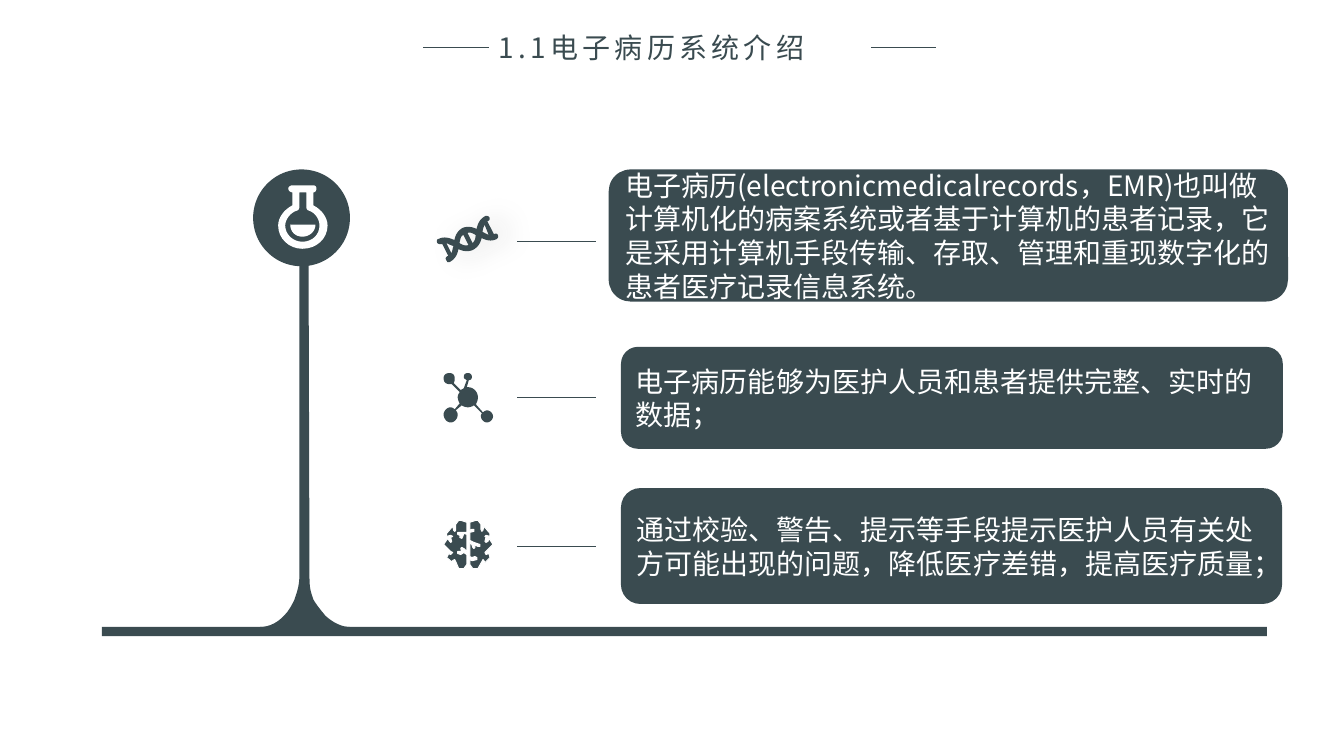
from lxml.etree import SubElement as Sub
from pptx import Presentation as Deck
from pptx.dml.color import RGBColor as Rgb
from pptx.enum.shapes import MSO_CONNECTOR as Link, MSO_SHAPE as Kind
from pptx.enum.text import MSO_ANCHOR as Anchor, MSO_AUTO_SIZE as Fit, PP_ALIGN as Align
from pptx.oxml.ns import qn
from pptx.util import Cm, Pt

SLATE = Rgb(0x3A, 0x4B, 0x50)
WHITE = Rgb(0xFF, 0xFF, 0xFF)
FONT = "Noto Sans CJK SC"
UNIT = 0.0254  # cm per step of the outline grids

# Outlines: a pair is a straight step, six numbers are a curve
FLASK = [
    [(12, 39), (37, 39), (37, 46, 31, 51, 24, 51), (17, 51, 12, 46, 12, 39)],
    [(21, 7), (21, 22), (21, 23, 20, 25, 19, 25), (12, 27, 7, 34, 7, 40),
     (7, 49, 15, 56, 24, 56), (34, 56, 41, 49, 41, 40), (41, 34, 37, 27, 30, 25),
     (29, 25, 28, 23, 28, 22), (28, 7)],
    [(14, 0), (35, 0), (37, 0, 38, 2, 38, 3), (38, 5, 37, 7, 35, 7), (35, 20),
     (43, 24, 49, 32, 49, 40), (49, 53, 38, 63, 24, 63), (11, 63, 0, 53, 0, 40),
     (0, 32, 6, 24, 14, 20), (14, 7), (12, 7, 10, 5, 10, 3), (10, 2, 12, 0, 14, 0)],
]
STEM = [
    [(49, 0), (50, 339), (50, 346, 50, 352, 52, 358), (54, 364),
     (57, 369, 61, 374, 66, 380), (74, 387, 82, 391, 91, 391), (0, 391),
     (11, 391, 20, 386, 28, 376), (31, 372, 33, 368, 35, 364), (37, 358),
     (39, 352, 40, 346, 40, 339), (40, 0)],
]
HELIX = [
    [(60, 19), (60, 18, 58, 17, 57, 18), (56, 18), (50, 6), (50, 5),
     (52, 5, 52, 3, 52, 2), (51, 0, 49, 0, 48, 0), (42, 3, 40, 8, 39, 13),
     (35, 11, 30, 10, 25, 12), (20, 15, 18, 19, 17, 24), (12, 22, 7, 20, 1, 23),
     (0, 23, -1, 25, 0, 27), (0, 27, 1, 28, 2, 28), (5, 28), (11, 40), (10, 40),
     (8, 41, 8, 43, 9, 44), (10, 46), (12, 46), (18, 43, 20, 38, 21, 33),
     (25, 35, 30, 36, 35, 34), (41, 31, 43, 26, 44, 22), (48, 24, 53, 26, 59, 23),
     (60, 22, 61, 21, 60, 19)],
    [(38, 19), (38, 23, 37, 25, 35, 27), (30, 17), (32, 16, 35, 17, 38, 19)],
    [(9, 27), (11, 28, 13, 29, 16, 30), (15, 33, 15, 35, 14, 37)],
    [(22, 27), (23, 23, 23, 20, 26, 19), (31, 29), (28, 30, 25, 29, 22, 27)],
    [(45, 16), (45, 13, 46, 11, 47, 9), (51, 19), (49, 18, 47, 17, 45, 16)],
]
ATOMS = [
    [(43, 37), (42, 37, 40, 38, 39, 39), (32, 31), (33, 29, 34, 27, 34, 24),
     (34, 19, 30, 14, 24, 14), (23, 14), (25, 7), (27, 7, 28, 6, 28, 4),
     (28, 1, 26, 0, 24, 0), (22, 0, 20, 1, 20, 4), (20, 5, 21, 6, 23, 7), (20, 15),
     (19, 16, 18, 16, 17, 17), (10, 10), (11, 8, 11, 7, 11, 5), (11, 2, 9, 0, 6, 0),
     (2, 0, 0, 2, 0, 5), (0, 9, 2, 11, 6, 11), (8, 11), (16, 19),
     (15, 20, 14, 22, 14, 24), (14, 26, 15, 29, 16, 30), (11, 36),
     (10, 35, 8, 34, 7, 34), (3, 34, 0, 38, 0, 41), (0, 45, 3, 49, 7, 49),
     (11, 49, 14, 45, 14, 41), (14, 40, 13, 38, 12, 37), (18, 32),
     (19, 33, 22, 34, 24, 34), (26, 34, 29, 33, 30, 32), (38, 40),
     (37, 41, 37, 42, 37, 43), (37, 46, 40, 49, 43, 49), (46, 49, 49, 46, 49, 43),
     (49, 40, 46, 37, 43, 37)],
]
BRAIN = [
    [(17, 0), (23, 2), (23, 12), (14, 12), (14, 14), (16, 15), (17, 14), (16, 17),
     (18, 18), (19, 16), (20, 13), (23, 14), (23, 31), (20, 28), (18, 27), (17, 28),
     (18, 31), (14, 31), (14, 33), (17, 34), (20, 32), (23, 34), (23, 44), (20, 48),
     (15, 48), (12, 41), (11, 39), (9, 40), (9, 42), (3, 37), (5, 33), (7, 34),
     (9, 32), (7, 31), (0, 24), (4, 18), (6, 21), (7, 22), (8, 21), (7, 17), (9, 16),
     (7, 15), (3, 16), (3, 13), (9, 6), (10, 10), (11, 11), (12, 10), (12, 4), (15, 0)],
    [(32, 0), (34, 0), (37, 4), (37, 9), (38, 11), (39, 10), (40, 6), (46, 13),
     (46, 16), (42, 15), (41, 16), (42, 17), (41, 21), (42, 22), (44, 21), (45, 18),
     (49, 24), (42, 31), (41, 32), (42, 34), (45, 33), (46, 37), (41, 42), (40, 40),
     (39, 39), (38, 41), (34, 48), (29, 48), (26, 44), (26, 39), (28, 40), (29, 40),
     (33, 39), (33, 37), (31, 36), (28, 37), (26, 36), (26, 22), (28, 24), (29, 27),
     (30, 28), (31, 27), (31, 25), (32, 25), (34, 26), (36, 26), (36, 24), (30, 22),
     (26, 20), (26, 12), (30, 11), (30, 9), (28, 9), (26, 10), (26, 2)],
]

# Each row: icon outline, icon place, line height, text box, text
ROWS = [
    (HELIX, (11.02, 5.44), 6.07, (15.34, 4.27, 17.12, 3.33),
     "电子病历(electronicmedicalrecords，EMR)也叫做计算机化的病案系统或者基于计算机的患者记录，"
     "它是采用计算机手段传输、存取、管理和重现数字化的患者医疗记录信息系统。"),
    (ATOMS, (11.18, 9.4), 10.01, (15.65, 8.74, 16.68, 2.57),
     "电子病历能够为医护人员和患者提供完整、实时的数据；"),
    (BRAIN, (11.18, 13.11), 13.77, (15.65, 12.3, 16.66, 2.92),
     "通过校验、警告、提示等手段提示医护人员有关处方可能出现的问题，降低医疗差错，提高医疗质量；"),
]


def paint(shape, tint):
    shape.shadow.inherit = False
    shape.fill.solid()
    shape.fill.fore_color.rgb = tint
    shape.line.fill.background()
    return shape


def block(slide, kind, box, tint=SLATE):
    return paint(slide.shapes.add_shape(kind, *map(Cm, box)), tint)


def rule(slide, x, y, wide):
    line = slide.shapes.add_connector(Link.STRAIGHT, Cm(x), Cm(y), Cm(x + wide), Cm(y))
    line.line.color.rgb = SLATE
    line.line.width = Pt(0.5)
    Sub(line._element.spPr, qn("a:effectLst"))


def trace(ring, count=8):
    """Turn the curves of one ring into short straight steps."""
    dots = [ring[0]]
    for step in ring[1:]:
        if len(step) == 2:
            dots.append(step)
            continue
        a, b, c, d = dots[-1], step[:2], step[2:4], step[4:]
        for i in range(1, count + 1):
            t = i / count
            u = 1 - t
            dots.append(tuple(u**3 * p + 3 * u * u * t * q + 3 * u * t * t * r + t**3 * s
                              for p, q, r, s in zip(a, b, c, d)))
    return dots


def sketch(slide, rings, x, y, tint=SLATE):
    paths = [[(Cm(x + p * UNIT), Cm(y + q * UNIT)) for p, q in trace(ring)] for ring in rings]
    pen = slide.shapes.build_freeform(*paths[0][0])
    for i, dots in enumerate(paths):
        if i:
            pen.move_to(*dots[0])
        pen.add_line_segments(dots[1:], close=True)
    return paint(pen.convert_to_shape(), tint)


def write(frame, text, tint):
    para = frame.paragraphs[0]
    run = para.add_run()
    run.text = text
    run.font.size = Pt(20)
    run.font.bold = False
    run.font.color.rgb = tint
    run.font.name = FONT
    Sub(run._r.rPr, qn("a:ea"), typeface=FONT)
    return para, run


def glow(shape):
    cast = Sub(shape._element.spPr.find(qn("a:effectLst")), qn("a:outerShdw"),
               blurRad=str(Pt(20)), dist=str(Pt(10)), dir="0", rotWithShape="0")
    tone = Sub(cast, qn("a:srgbClr"), val="262626")
    Sub(tone, qn("a:alpha"), val="10000")


def head(slide, x, y, wide, high):
    title = slide.shapes.title
    title.left, title.top, title.width, title.height = map(Cm, (x, y, wide, high))
    frame = title.text_frame
    frame.word_wrap = True
    frame.auto_size = Fit.SHAPE_TO_FIT_TEXT
    frame.vertical_anchor = Anchor.TOP
    para, run = write(frame, "1.1电子病历系统介绍", SLATE)
    para.alignment = Align.JUSTIFY
    para.line_spacing = 1.0
    run._r.rPr.set("spc", "300")
    for left in (x - 1.65, x + wide):
        rule(slide, left, y + 0.56, 1.65)


def stand(slide, x, y):
    block(slide, Kind.OVAL, (x + 3.81, y, 2.44, 2.44))
    sketch(slide, STEM, x + 3.96, y + 1.6)
    block(slide, Kind.RECTANGLE, (x, y + 11.53, 29.36, 0.23))
    sketch(slide, FLASK, x + 4.44, y + 0.4, WHITE)


def entry(slide, icon, spot, level, box, text):
    mark = sketch(slide, icon, *spot)
    if icon is HELIX:
        glow(mark)
    if icon is BRAIN:
        mark.line.color.rgb = WHITE
        mark.line.width = Pt(0.75)
    rule(slide, 13.03, level, 1.98)
    card = block(slide, Kind.ROUNDED_RECTANGLE, box)
    card.text_frame.word_wrap = True
    card.text_frame.vertical_anchor = Anchor.MIDDLE
    para, _ = write(card.text_frame, text, WHITE)
    para.alignment = Align.LEFT


def main():
    deck = Deck()
    deck.slide_width, deck.slide_height = Cm(33.87), Cm(19.05)
    slide = deck.slides.add_slide(deck.slide_layouts[5])
    # Title, then flask stand, then the three rows
    head(slide, 12.32, 0.63, 9.63, 1.12)
    stand(slide, 2.57, 4.27)
    for row in ROWS:
        entry(slide, *row)
    deck.save("out.pptx")


if __name__ == "__main__":
    main()
